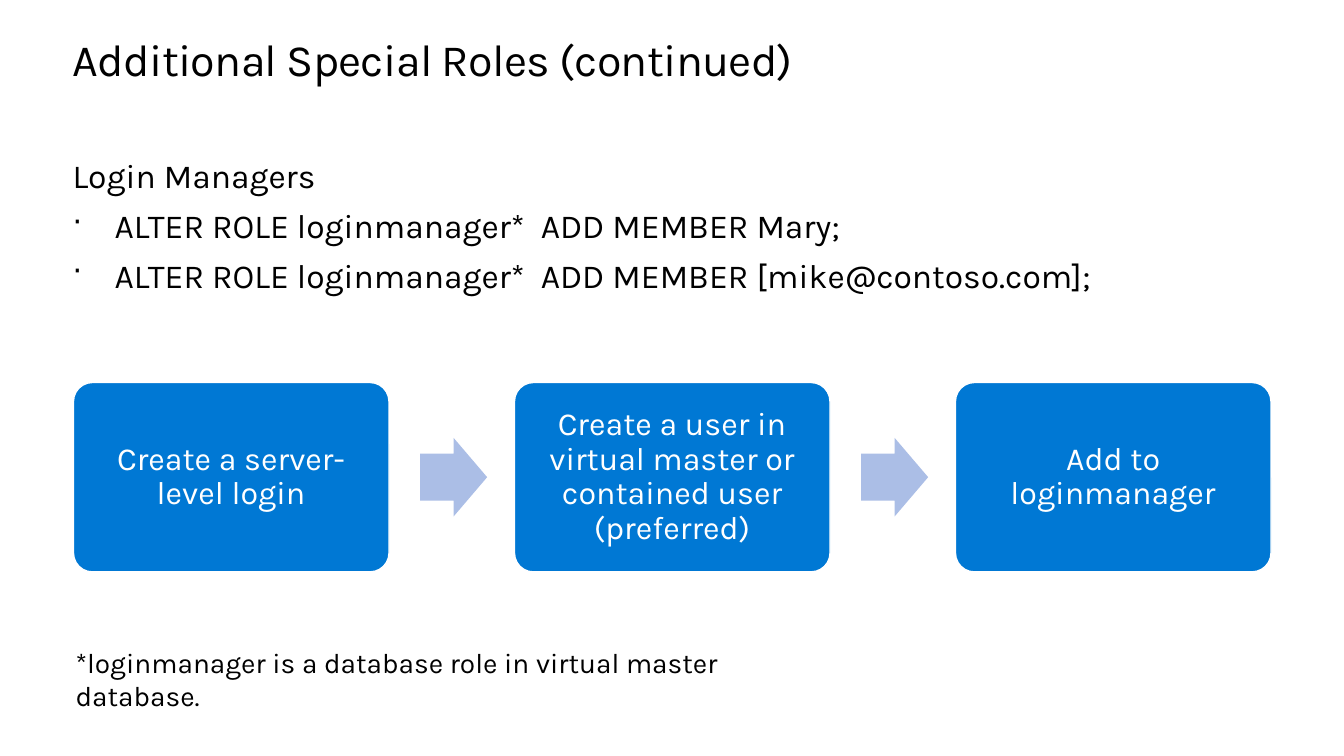
from dataclasses import dataclass

from lxml.etree import SubElement
from pptx import Presentation
from pptx.dml.color import RGBColor
from pptx.enum.shapes import MSO_SHAPE as Preset
from pptx.enum.text import MSO_ANCHOR as Anchor, PP_ALIGN as Align
from pptx.oxml.ns import qn
from pptx.util import Pt


@dataclass(frozen=True)
class Theme:
    font: str = "Karla"
    ink: str = "000000"
    box: str = "0078D4"
    box_ink: str = "FFFFFF"
    arrow: str = "ABBEE6"
    title_size: float = 32
    body_size: float = 24
    box_size: float = 23
    note_size: float = 20


THEME = Theme()
LEFT = 51.84
CONTENT_WIDTH = 856.8
STEPS = [
    "Create a server-level login",
    "Create a user in virtual master or contained user (preferred)",
    "Add to loginmanager",
]
STEP_LEFT, STEP_TOP, STEP_WIDTH, STEP_HEIGHT = 52.5, 273.2, 225.4, 135.3
STEP_PITCH = 315
ARROW_OFFSET, ARROW_WIDTH, ARROW_HEIGHT = 247.7, 47.8, 56
COMMANDS = [
    "ALTER ROLE loginmanager*  ADD MEMBER Mary;",
    "ALTER ROLE loginmanager*  ADD MEMBER [mike@contoso.com];",
]


def style_paragraph(paragraph, size, color):
    paragraph.font.name = THEME.font
    paragraph.font.size = Pt(size)
    paragraph.font.color.rgb = RGBColor.from_string(color)


def add_text_frame(slide, left, top, width, height):
    frame = slide.shapes.add_textbox(Pt(left), Pt(top), Pt(width), Pt(height)).text_frame
    frame.word_wrap = True
    frame.margin_left = frame.margin_top = frame.margin_right = frame.margin_bottom = 0
    return frame


def add_bullet(paragraph, indent):
    properties = paragraph._p.get_or_add_pPr()
    properties.set("marL", str(Pt(indent)))
    properties.set("indent", str(-Pt(indent)))
    color = SubElement(properties, qn("a:buClr"))
    SubElement(color, qn("a:srgbClr"), val=THEME.ink)
    SubElement(properties, qn("a:buSzPct"), val="90000")
    SubElement(properties, qn("a:buChar"), char="·")


def add_title(slide, text):
    paragraph = add_text_frame(slide, LEFT, 25.2, CONTENT_WIDTH, 36).paragraphs[0]
    paragraph.line_spacing = Pt(36.2)
    style_paragraph(paragraph, THEME.title_size, THEME.ink)
    run = paragraph.add_run()
    run.text = text
    run._r.get_or_add_rPr().set("spc", "-50")


def add_body(slide, heading, commands):
    frame = add_text_frame(slide, LEFT, 110.9, CONTENT_WIDTH, 141)
    frame.text = heading
    style_paragraph(frame.paragraphs[0], THEME.body_size, THEME.ink)
    for command in commands:
        paragraph = frame.add_paragraph()
        paragraph.text = command
        add_bullet(paragraph, 30)
        paragraph.space_before = Pt(6.7)
        style_paragraph(paragraph, THEME.body_size, THEME.ink)


def add_note(slide, text):
    frame = add_text_frame(slide, 54, 460.8, 532, 48)
    frame.text = text
    style_paragraph(frame.paragraphs[0], THEME.note_size, THEME.ink)


def add_filled_shape(slide, preset, left, top, width, height, color, adjustments):
    shape = slide.shapes.add_shape(preset, Pt(left), Pt(top), Pt(width), Pt(height))
    shape.shadow.inherit = False
    shape.fill.solid()
    shape.fill.fore_color.rgb = RGBColor.from_string(color)
    shape.line.fill.background()
    for index, value in enumerate(adjustments):
        shape.adjustments[index] = value
    return shape


def add_step(slide, left, text):
    shape = add_filled_shape(slide, Preset.ROUNDED_RECTANGLE, left, STEP_TOP,
                             STEP_WIDTH, STEP_HEIGHT, THEME.box, [0.1])
    shape.line.color.rgb = RGBColor.from_string(THEME.box_ink)
    shape.line.width = Pt(1)
    frame = shape.text_frame
    frame.word_wrap = True
    frame.vertical_anchor = Anchor.MIDDLE
    frame.margin_left = frame.margin_top = frame.margin_right = frame.margin_bottom = Pt(7.2)
    frame.text = text
    paragraph = frame.paragraphs[0]
    paragraph.alignment = Align.CENTER
    paragraph.line_spacing = 0.9
    style_paragraph(paragraph, THEME.box_size, THEME.box_ink)


def add_process(slide, steps):
    arrow_top = STEP_TOP + (STEP_HEIGHT - ARROW_HEIGHT) / 2
    for index, text in enumerate(steps):
        left = STEP_LEFT + index * STEP_PITCH
        add_step(slide, left, text)
        if index < len(steps) - 1:
            add_filled_shape(slide, Preset.RIGHT_ARROW, left + ARROW_OFFSET, arrow_top,
                             ARROW_WIDTH, ARROW_HEIGHT, THEME.arrow, [0.6, 0.5])


def main():
    presentation = Presentation()
    presentation.slide_width = Pt(960)
    presentation.slide_height = Pt(540)
    slide = presentation.slides.add_slide(presentation.slide_layouts[6])
    add_title(slide, "Additional Special Roles (continued)")
    add_body(slide, "Login Managers", COMMANDS)
    add_process(slide, STEPS)
    add_note(slide, "*loginmanager is a database role in virtual master database.")
    presentation.save("out.pptx")


if __name__ == "__main__":
    main()
